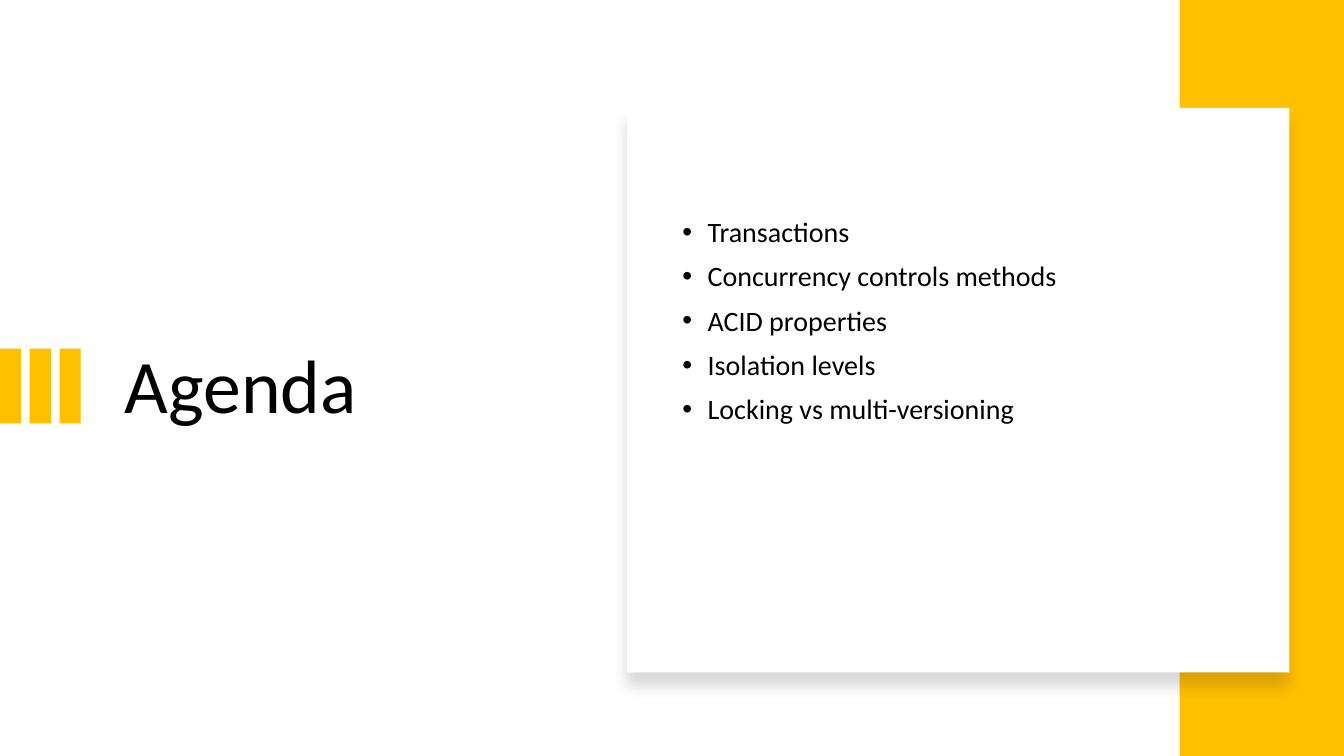
from lxml import etree
from pptx import Presentation
from pptx.dml.color import RGBColor
from pptx.enum.shapes import MSO_SHAPE
from pptx.enum.text import MSO_ANCHOR
from pptx.oxml import parse_xml
from pptx.oxml.ns import nsdecls, qn
from pptx.util import Inches, Pt

RECTANGLE = MSO_SHAPE.RECTANGLE
MIDDLE = MSO_ANCHOR.MIDDLE

AMBER = "FFC000"
WHITE = "FFFFFF"
BLACK = "000000"

TOPICS = [
    "Transactions",
    "Concurrency controls methods",
    "ACID properties",
    "Isolation levels",
    "Locking vs multi-versioning",
]


def color(value):
    return RGBColor.from_string(value)


class SlideBuilder:
    font = "Calibri"
    line_spacing = 0.9

    def __init__(self, slide):
        self.slide = slide

    def background(self, fill):
        self.slide.background.fill.solid()
        self.slide.background.fill.fore_color.rgb = color(fill)

    def rectangle(self, left, top, width, height, fill):
        shape = self.slide.shapes.add_shape(
            RECTANGLE, Inches(left), Inches(top), Inches(width), Inches(height))
        shape.fill.solid()
        shape.fill.fore_color.rgb = color(fill)
        shape.line.fill.background()
        shape.shadow.inherit = False
        return shape

    def card(self, left, top, width, height, fill):
        shape = self.rectangle(left, top, width, height, fill)
        effects = shape._element.spPr.find(qn("a:effectLst"))
        effects.append(parse_xml(
            f'<a:outerShdw {nsdecls("a")} blurRad="{Pt(11)}" dist="{Pt(10)}" '
            f'dir="5400000" algn="t" rotWithShape="0"><a:srgbClr val="{BLACK}">'
            '<a:alpha val="15000"/></a:srgbClr></a:outerShdw>'))

    def text(self, left, top, width, height, lines, size,
             bullets=False, bottom_inset=0.05):
        box = self.slide.shapes.add_textbox(
            Inches(left), Inches(top), Inches(width), Inches(height))
        frame = box.text_frame
        frame.word_wrap = True
        frame.vertical_anchor = MIDDLE
        frame.margin_bottom = Inches(bottom_inset)
        for index, line in enumerate(lines):
            para = frame.add_paragraph() if index else frame.paragraphs[0]
            para.line_spacing = self.line_spacing
            if bullets:
                para.space_before = Pt(10)
                self.bullet(para)
            span = para.add_run()
            span.text = line
            span.font.name = self.font
            span.font.size = Pt(size)
            span.font.color.rgb = color(BLACK)

    def bullet(self, para):
        properties = para._p.get_or_add_pPr()
        properties.set("marL", str(Inches(0.25)))
        properties.set("indent", str(Inches(-0.25)))
        etree.SubElement(properties, qn("a:buFont"), typeface="Arial")
        etree.SubElement(properties, qn("a:buChar"), char="•")


def main():
    deck = Presentation()
    deck.slide_width = Inches(13.33)
    deck.slide_height = Inches(7.5)
    page = SlideBuilder(deck.slides.add_slide(deck.slide_layouts[6]))
    page.background(WHITE)

    # Title with three accent bars at the left edge
    page.text(1.14, 1.46, 4.26, 4.79, ["Agenda"], 54)
    for column in range(3):
        page.rectangle(column * 0.295, 3.46, 0.21, 0.74, AMBER)

    # Right band and the raised card
    page.rectangle(11.7, 0, 1.63, 7.5, AMBER)
    page.card(6.22, 1.07, 6.57, 5.6, WHITE)

    # Agenda topics, lifted above the card's centre by the bottom inset
    page.text(6.67, 1.46, 5.75, 4.79, TOPICS, 20, bullets=True, bottom_inset=1.37)

    deck.save("out.pptx")


if __name__ == "__main__":
    main()
